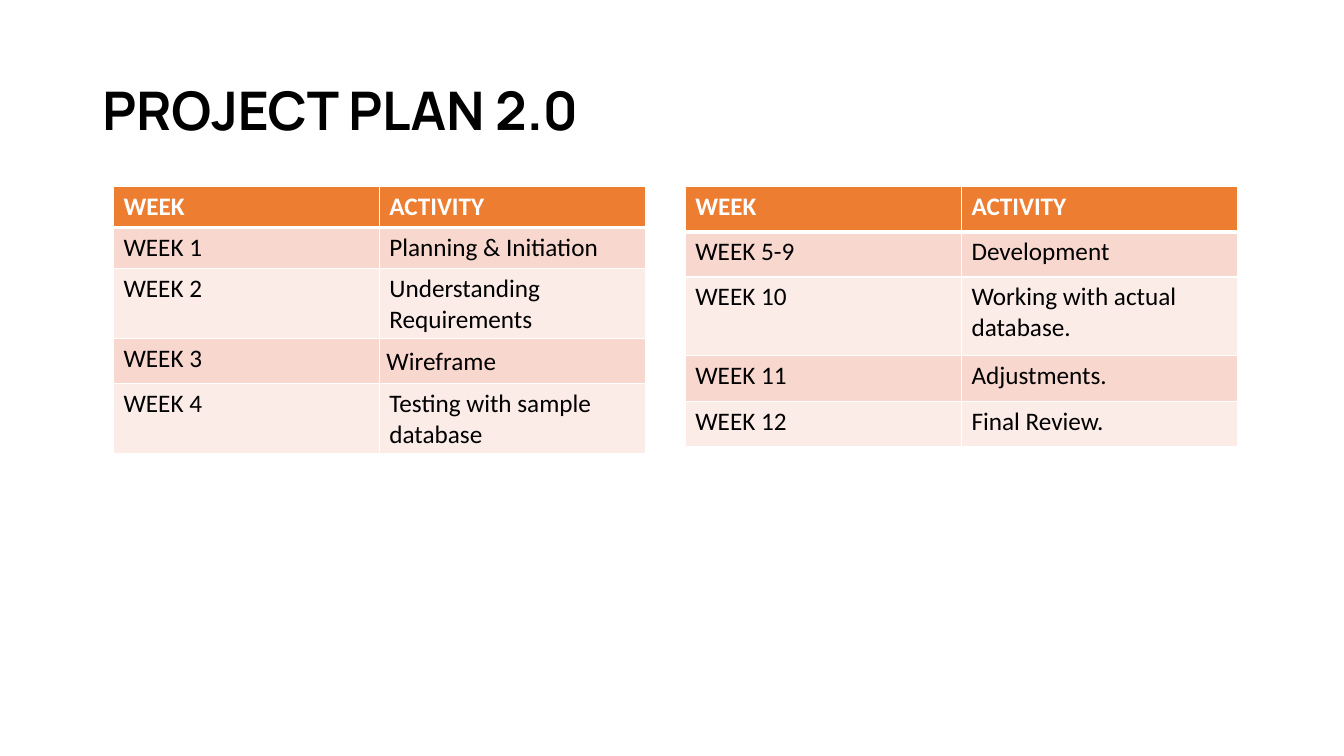
import pptx
import pptx.util
import pptx.dml.color
import pptx.enum.text
import pptx.oxml.ns
from lxml import etree

Cm = pptx.util.Cm
Pt = pptx.util.Pt
RGB = pptx.dml.color.RGBColor

BLACK = RGB(0, 0, 0)
WHITE = RGB(255, 255, 255)
ORANGE = RGB(0xED, 0x7D, 0x31)
BANDS = [RGB(0xF8, 0xD7, 0xCE), RGB(0xFC, 0xEC, 0xE8)]

HEAD = ("WEEK", "ACTIVITY")
EARLY = [
    HEAD,
    ("WEEK 1", "Planning & Initiation"),
    ("WEEK 2", "Understanding Requirements"),
    ("WEEK 3", "Wireframe"),
    ("WEEK 4", "Testing with sample database"),
]
LATE = [
    HEAD,
    ("WEEK 5-9", "Development"),
    ("WEEK 10", "Working with actual database."),
    ("WEEK 11", "Adjustments."),
    ("WEEK 12", "Final Review."),
]


def add_title(slide, text, left, top, width, height):
    box = slide.shapes.add_textbox(left, top, width, height)
    frame = box.text_frame
    frame.word_wrap = True
    frame.vertical_anchor = pptx.enum.text.MSO_ANCHOR.MIDDLE
    para = frame.paragraphs[0]
    para.text = text
    para.line_spacing = 0.9
    font = para.font
    font.name, font.size, font.bold = "Manrope", Pt(38), True
    font.color.rgb = BLACK


def add_rules(cell, widths):
    """Draw white cell borders, with widths in points by side."""
    props = cell._tc.get_or_add_tcPr()
    qn = pptx.oxml.ns.qn
    for side, width in widths.items():
        line = etree.SubElement(props, qn("a:ln" + side), w=str(Pt(width)))
        fill = etree.SubElement(line, qn("a:solidFill"))
        etree.SubElement(fill, qn("a:srgbClr"), val=str(WHITE))


def style_cell(cell, text, row):
    head = row == 0
    add_rules(cell, {"L": 1, "R": 1, "T": 3 if row == 1 else 1, "B": 3 if head else 1})
    cell.fill.solid()
    cell.fill.fore_color.rgb = ORANGE if head else BANDS[(row - 1) % 2]
    cell.text = text
    font = cell.text_frame.paragraphs[0].font
    font.name, font.size, font.bold = "Calibri", Pt(18), head
    font.color.rgb = WHITE if head else BLACK


def add_plan(slide, rows, left, top, width, heights):
    """Place a table of weeks and activities, and return it."""
    count = len(HEAD)
    frame = slide.shapes.add_table(len(rows), count, left, top, width, sum(heights))
    table = frame.table
    for col in table.columns:
        col.width = width // count
    for i, (row, height) in enumerate(zip(rows, heights)):
        table.rows[i].height = height
        for j, text in enumerate(row):
            style_cell(table.cell(i, j), text, i)
    return table


def main():
    deck = pptx.Presentation()
    deck.slide_width, deck.slide_height = Cm(33.87), Cm(19.05)
    slide = deck.slides.add_slide(deck.slide_layouts[6])

    add_title(slide, "PROJECT PLAN 2.0", Cm(2.33), Cm(1.01), Cm(29.21), Cm(3.68))

    top = Cm(4.7)
    early = add_plan(slide, EARLY, Cm(2.86), top, Cm(13.4), [Cm(1.03)] * len(EARLY))
    frame = early.cell(3, 1)
    frame.margin_left = frame.margin_right = Cm(0.18)
    frame.margin_top = frame.margin_bottom = Cm(0.18)

    tall, low = Cm(1.99), Cm(1.14)
    add_plan(slide, LATE, Cm(17.27), top, Cm(13.92), [low, low, tall, low, low])

    deck.save("out.pptx")


if __name__ == "__main__":
    main()
